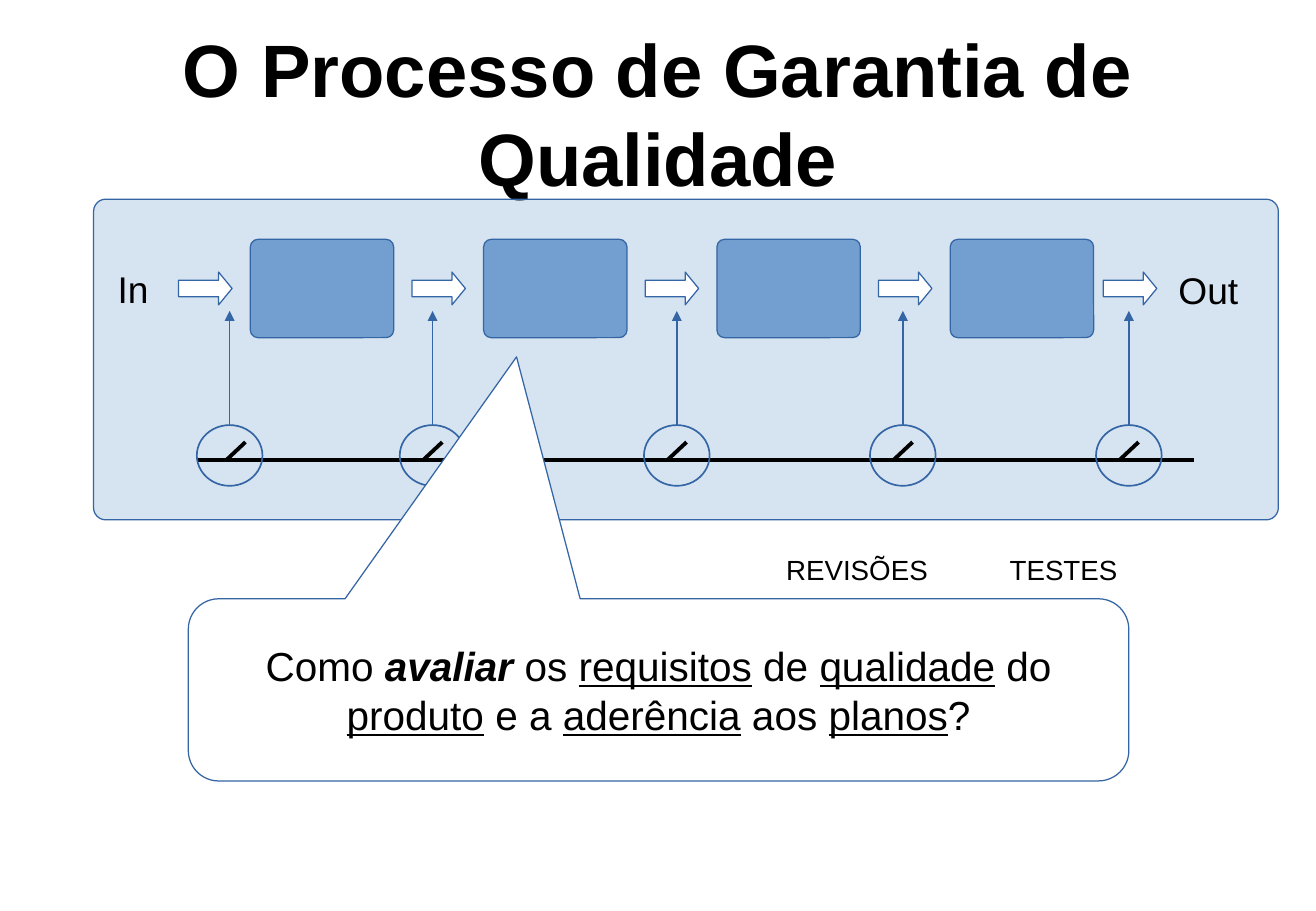
import pptx
import pptx.util
import pptx.dml.color
import pptx.enum.shapes
import pptx.enum.text
import pptx.oxml
import pptx.oxml.ns

Inches = pptx.util.Inches
Pt = pptx.util.Pt
SHAPE = pptx.enum.shapes.MSO_SHAPE
ALIGN = pptx.enum.text.PP_ALIGN
ANCHOR = pptx.enum.text.MSO_ANCHOR
COLORS = {"blue": "729FCF", "outline": "3465A4", "white": "FFFFFF", "black": "000000"}


def rgb(name):
    return pptx.dml.color.RGBColor.from_string(COLORS[name])


def sub_element(parent, tag, **attrs):
    el = pptx.oxml.parse_xml(f"<{tag} {pptx.oxml.ns.nsdecls('a')}/>")
    for key, value in attrs.items():
        el.set(key, value)
    parent.append(el)


def set_font(p, size, bold=None):
    p.font.name = "Arial"
    p.font.size = Pt(size)
    p.font.bold = bold
    p.font.color.rgb = rgb("black")


def add_shape(s, kind, box, fill=None, adj=(), weight=0.75, alpha=None):
    sp = s.shapes.add_shape(kind, *map(Inches, box))
    sp.shadow.inherit = False
    for i, value in enumerate(adj):
        sp.adjustments[i] = value
    if fill:
        sp.fill.solid()
        sp.fill.fore_color.rgb = rgb(fill)
    else:
        sp.fill.background()
    if alpha:
        color = sp.fill._xPr.find(".//" + pptx.oxml.ns.qn("a:srgbClr"))
        sub_element(color, "a:alpha", val=str(alpha * 1000))
    sp.line.color.rgb = rgb("outline")
    sp.line.width = Pt(weight)
    return sp


def add_line(s, start, end, color="black", weight=2.3, arrow=False):
    cn = s.shapes.add_connector(
        pptx.enum.shapes.MSO_CONNECTOR.STRAIGHT, *map(Inches, (*start, *end)))
    cn.line.color.rgb = rgb(color)
    cn.line.width = Pt(weight)
    if arrow:
        sub_element(cn.line._get_or_add_ln(), "a:tailEnd", type="triangle")
    sub_element(cn._element.spPr, "a:effectLst")
    return cn


def add_label(s, box, text, size):
    sp = s.shapes.add_textbox(*map(Inches, box))
    tf = sp.text_frame
    tf.word_wrap = True
    tf.margin_right = 0
    p = tf.paragraphs[0]
    p.text = text
    set_font(p, size)


def add_title(s, box):
    sp = s.shapes.add_textbox(*map(Inches, box))
    tf = sp.text_frame
    tf.word_wrap = True
    tf.vertical_anchor = ANCHOR.MIDDLE
    tf.margin_left = tf.margin_right = tf.margin_top = tf.margin_bottom = 0
    p = tf.paragraphs[0]
    p.text = "O Processo de Garantia de\vQualidade"
    p.alignment = ALIGN.CENTER
    set_font(p, 44, True)


def add_process(s, box):
    x, y, w, h = box
    add_shape(s, SHAPE.ROUNDED_RECTANGLE, box, "blue", [0.038], alpha=29)
    add_label(s, (x + 0.1, y + 0.5, 0.55, 0.42), "In", 22)
    add_label(s, (x + w - 0.92, y + 0.51, 0.8, 0.42), "Out", 22)

    pitch = 1.92
    for i in range(4):
        add_shape(s, SHAPE.ROUNDED_RECTANGLE,
                  (x + 1.29 + i * pitch, y + 0.33, 1.18, 0.81), "blue", [0.077])
    for left in [0.7 + i * pitch for i in range(4)] + [8.31]:
        add_shape(s, SHAPE.RIGHT_ARROW, (x + left, y + 0.6, 0.44, 0.27),
                  "white", [0.5, 0.41])

    base = y + 2.15
    add_line(s, (x + 0.85, base), (x + 9.06, base))
    for left, tick in ((0.85, 0.24), (2.52, 0.19), (4.53, 0.19), (6.39, 0.19), (8.25, 0.19)):
        gx = x + left
        add_line(s, (gx + tick, base), (gx + tick + 0.16, base - 0.15))
        gauge = add_shape(s, SHAPE.OVAL, (gx, y + 1.86, 0.54, 0.5), weight=1)
        mid = gx + 0.27
        cn = add_line(s, (mid, y + 1.86), (mid, y + 0.92), "outline", 1, arrow=True)
        cn.begin_connect(gauge, 0)


def add_question(s, box):
    sp = add_shape(s, SHAPE.ROUNDED_RECTANGULAR_CALLOUT, box, "white",
                   [-0.151, -1.828, 0.167])
    tf = sp.text_frame
    tf.word_wrap = False
    tf.vertical_anchor = ANCHOR.MIDDLE
    lines = (
        (("Como ", ""), ("avaliar", "bi"), (" os ", ""), ("requisitos", "u"),
         (" de ", ""), ("qualidade", "u"), (" do", "")),
        (("produto", "u"), (" e a ", ""), ("aderência", "u"), (" aos ", ""),
         ("planos", "u"), ("?", "")),
    )
    for i, runs in enumerate(lines):
        p = tf.add_paragraph() if i else tf.paragraphs[0]
        p.alignment = ALIGN.CENTER
        set_font(p, 24)
        for text, style in runs:
            r = p.add_run()
            r.text = text
            if "b" in style:
                r.font.bold = r.font.italic = True
            if "u" in style:
                r.font.underline = True


def add_activities(s, box):
    x, y, w, h = box
    add_label(s, (x, y, 1.45, h), "REVISÕES", 16.4)
    add_label(s, (x + w - 1.15, y, 1.15, h), "TESTES", 16.4)


def main():
    prs = pptx.Presentation()
    prs.slide_width = Inches(10.83)
    prs.slide_height = Inches(7.5)
    s = prs.slides.add_slide(prs.slide_layouts[6])
    add_title(s, (0.54, 0.28, 9.75, 1.29))
    add_process(s, (0.77, 1.64, 9.75, 2.64))
    add_question(s, (1.55, 4.93, 7.74, 1.5))
    add_activities(s, (6.37, 4.5, 2.99, 0.36))
    prs.save("out.pptx")


if __name__ == "__main__":
    main()
